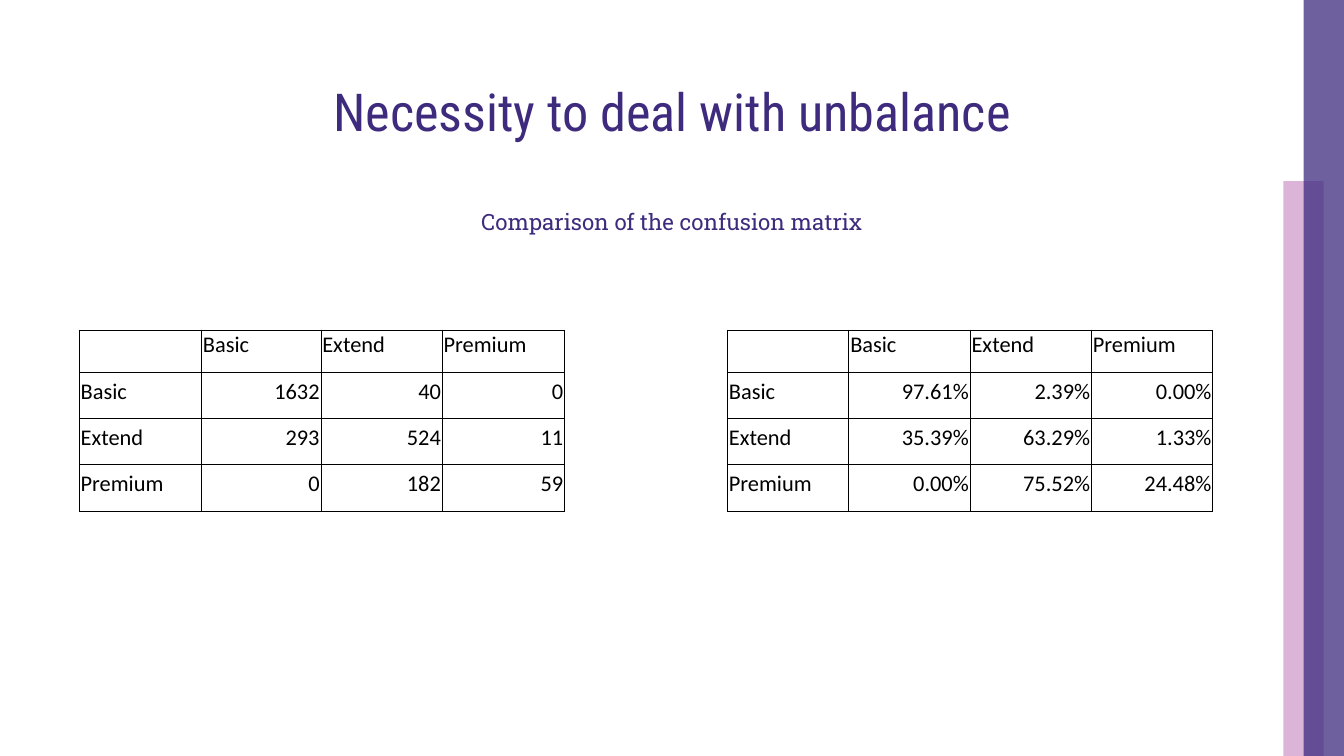
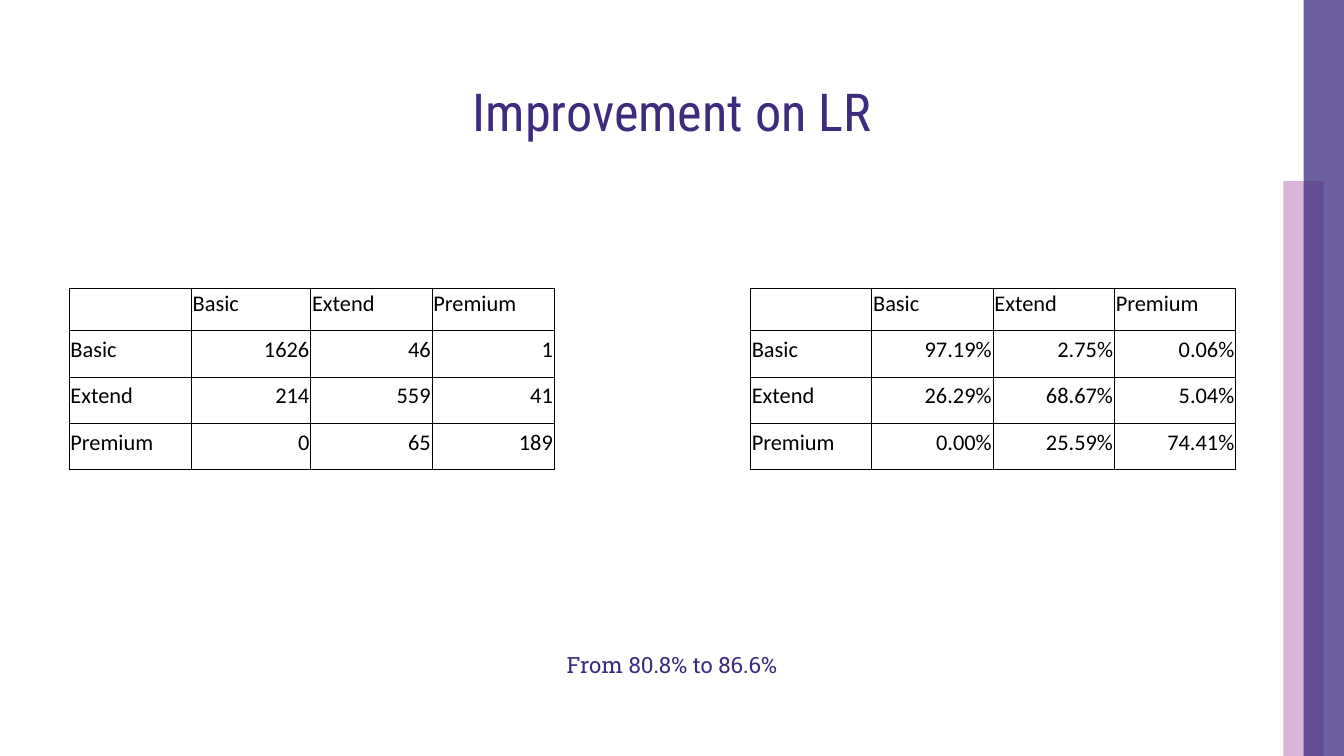
from dataclasses import dataclass

from lxml.etree import SubElement
from pptx import Presentation
from pptx.dml.color import RGBColor
from pptx.enum.shapes import MSO_SHAPE
from pptx.enum.text import MSO_ANCHOR, MSO_AUTO_SIZE, PP_ALIGN
from pptx.oxml.ns import qn
from pptx.util import Pt

COLORS = {"purple": "3E2B7E", "pink": "C27BBE", "black": "000000"}
SLIDE_WIDTH, SLIDE_HEIGHT = 720, 405
CLASSES = ("Basic", "Extend", "Premium")
COUNT_WIDTHS = (65.5, 64, 65, 65.5)
SHARE_WIDTHS = (65, 65, 65, 65)
ROW_HEIGHT = 15.75
CELL_SIZE = 12


@dataclass(frozen=True)
class Band:
    left: float
    top: float
    color: str
    opacity: int  # percent
    width: float = 21.6


@dataclass(frozen=True)
class MatrixSlide:
    title: str
    subtitle: str
    subtitle_top: float
    table_top: float
    count_left: float
    share_left: float
    counts: tuple[tuple[int, ...], ...]


BANDS = (Band(687.5, 97, "pink", 56), Band(698.4, 0, "purple", 75))

SLIDES = (
    MatrixSlide("Necessity to deal with unbalance", "Comparison of the confusion matrix",
                104.5, 176.85, 42.5, 389.75,
                ((1632, 40, 0), (293, 524, 11), (0, 182, 59))),
    MatrixSlide("Improvement on LR", "From 80.8% to 86.6%",
                341.5, 154.6, 37, 402,
                ((1626, 46, 1), (214, 559, 41), (0, 65, 189))),
)


def rgb(name: str) -> RGBColor:
    return RGBColor.from_string(COLORS[name])


def write(text_frame, text: str, *, font: str, size: float, color: str,
          align=PP_ALIGN.LEFT, line_spacing: float = 1.0) -> None:
    paragraph = text_frame.paragraphs[0]
    paragraph.alignment = align
    paragraph.line_spacing = line_spacing
    paragraph.space_before = Pt(0)
    if not text:
        # An empty cell still needs the small size, or its row grows.
        SubElement(paragraph._p, qn("a:endParaRPr"), sz=str(size * 100))
        return
    run = paragraph.add_run()
    run.text = text
    run.font.name = font
    run.font.size = Pt(size)
    run.font.bold = False
    run.font.color.rgb = rgb(color)


def fill_placeholder(shape, text: str, box: tuple[float, ...], *, anchor, **text_format) -> None:
    shape.left, shape.top, shape.width, shape.height = map(Pt, box)
    frame = shape.text_frame
    frame.word_wrap = True
    frame.auto_size = MSO_AUTO_SIZE.NONE
    frame.vertical_anchor = anchor
    frame.margin_left = frame.margin_right = frame.margin_top = frame.margin_bottom = Pt(7.2)
    write(frame, text, color="purple", align=PP_ALIGN.CENTER, **text_format)


def add_bands_to_layout(slide) -> None:
    """Draw the bands and move them to the slide's layout, in place of its footers."""
    layout = slide.slide_layout
    for footer in list(layout.placeholders)[2:]:
        layout.shapes._spTree.remove(footer._element)
    for band in BANDS:
        shape = slide.shapes.add_shape(
            MSO_SHAPE.RECTANGLE, Pt(band.left), Pt(band.top),
            Pt(band.width), Pt(SLIDE_HEIGHT - band.top))
        shape.shadow.inherit = False
        shape.line.fill.background()
        shape.fill.solid()
        shape.fill.fore_color.rgb = rgb(band.color)
        color_element = shape._element.spPr.find(f".//{qn('a:srgbClr')}")
        SubElement(color_element, qn("a:alpha"), val=str(band.opacity * 1000))
    for shape in list(slide.shapes)[-len(BANDS):]:
        layout.shapes._spTree.append(shape._element)


def set_borders(cell) -> None:
    properties = cell._tc.get_or_add_tcPr()
    for side in ("lnL", "lnR", "lnT", "lnB"):
        line = SubElement(properties, qn(f"a:{side}"), w=str(Pt(0.5)))
        fill = SubElement(line, qn("a:solidFill"))
        SubElement(fill, qn("a:srgbClr"), val=COLORS["black"])


def add_matrix(slide, left: float, top: float, widths: tuple[float, ...],
               values: list[list[str]]) -> None:
    rows = [["", *CLASSES]] + [[name, *row] for name, row in zip(CLASSES, values)]
    table = slide.shapes.add_table(
        len(rows), len(widths), Pt(left), Pt(top),
        Pt(sum(widths)), Pt(ROW_HEIGHT * len(rows))).table
    table.first_row = table.horz_banding = False
    for column, width in zip(table.columns, widths):
        column.width = Pt(width)
    for row_index, row in enumerate(rows):
        table.rows[row_index].height = Pt(ROW_HEIGHT)
        for column_index, text in enumerate(row):
            cell = table.cell(row_index, column_index)
            cell.margin_left = cell.margin_right = cell.margin_top = Pt(0.75)
            cell.margin_bottom = Pt(7.2)
            cell.vertical_anchor = MSO_ANCHOR.BOTTOM
            set_borders(cell)
            cell.fill.background()
            is_value = row_index > 0 and column_index > 0
            write(cell.text_frame, text, font="Calibri", size=CELL_SIZE, color="black",
                  align=PP_ALIGN.RIGHT if is_value else PP_ALIGN.LEFT,
                  line_spacing=1.15 if is_value else 1.0)


def add_matrix_slide(presentation, content: MatrixSlide):
    slide = presentation.slides.add_slide(presentation.slide_layouts[0])
    fill_placeholder(slide.shapes.title, content.title, (154.8, 22.5, 410.4, 74),
                     anchor=MSO_ANCHOR.MIDDLE, font="Roboto Condensed", size=28)
    fill_placeholder(slide.placeholders[1], content.subtitle,
                     (164, content.subtitle_top, 392, 29),
                     anchor=MSO_ANCHOR.TOP, font="Roboto Slab", size=12)
    counts = [[str(count) for count in row] for row in content.counts]
    shares = [[f"{count / sum(row):.2%}" for count in row] for row in content.counts]
    add_matrix(slide, content.count_left, content.table_top, COUNT_WIDTHS, counts)
    add_matrix(slide, content.share_left, content.table_top, SHARE_WIDTHS, shares)
    return slide


def main() -> None:
    presentation = Presentation()
    presentation.slide_width = Pt(SLIDE_WIDTH)
    presentation.slide_height = Pt(SLIDE_HEIGHT)
    slides = [add_matrix_slide(presentation, content) for content in SLIDES]
    add_bands_to_layout(slides[0])
    presentation.save("out.pptx")


if __name__ == "__main__":
    main()
